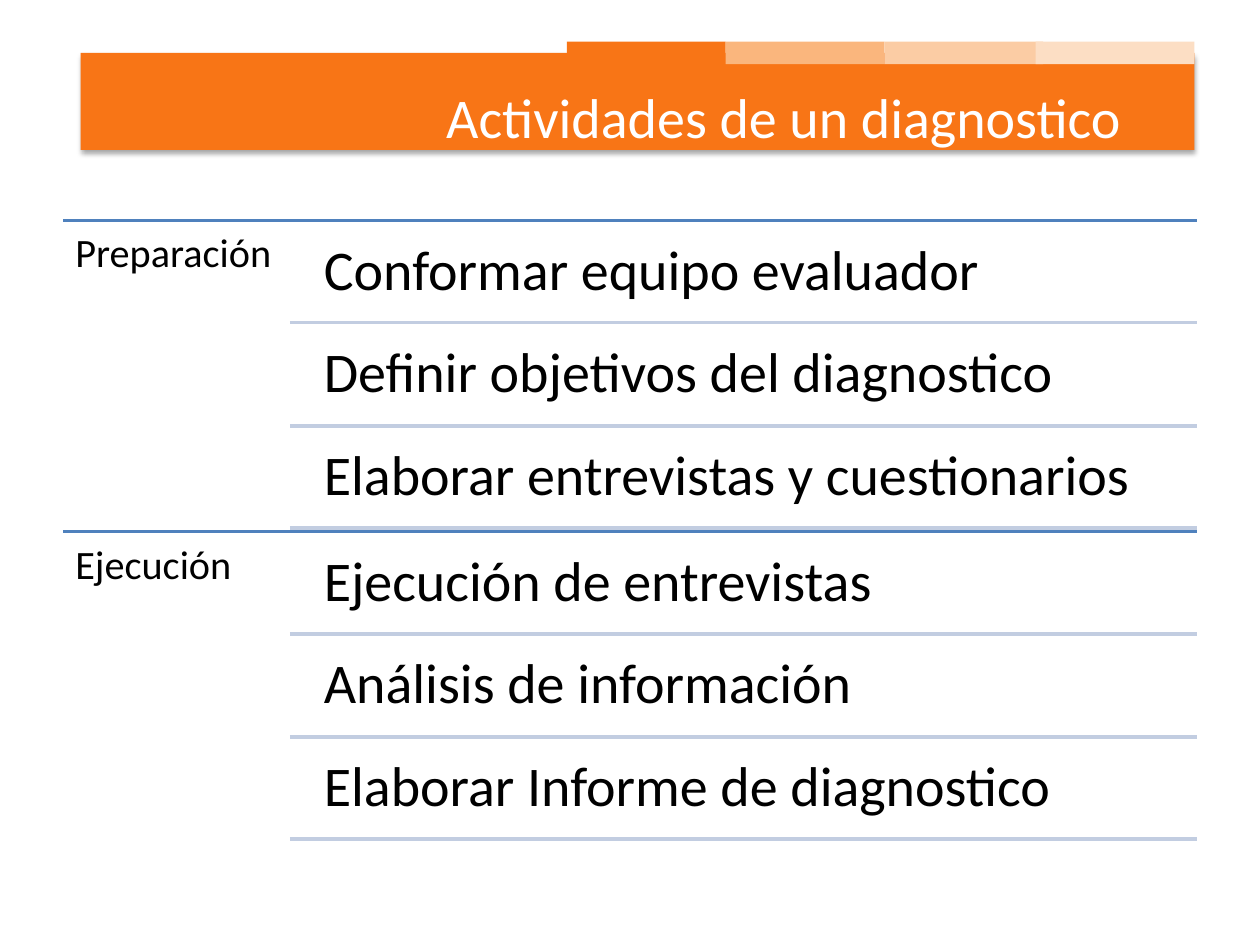
from lxml import etree
from pptx import Presentation
from pptx import util as u
from pptx.dml.color import RGBColor
from pptx.enum import shapes, text
from pptx.oxml import ns

PX = 9144  # EMU per px, 100 px to the inch
FONT = "Calibri"
ORANGE = RGBColor(0xF8, 0x75, 0x16)
TAB_COLORS = (ORANGE, RGBColor(0xFA, 0xB6, 0x7D),
              RGBColor(0xFB, 0xCC, 0xA4), RGBColor(0xFC, 0xDE, 0xC4))
BLUE = RGBColor(0x4F, 0x81, 0xBD)
PALE_BLUE = RGBColor(0xC2, 0xCD, 0xE1)
BLACK = RGBColor(0, 0, 0)
WHITE = RGBColor(0xFF, 0xFF, 0xFF)

SECTIONS = (
    ("Preparación", ("Conformar equipo evaluador",
                     "Definir objetivos del diagnostico",
                     "Elaborar entrevistas y cuestionarios")),
    ("Ejecución", ("Ejecución de entrevistas",
                   "Análisis de información",
                   "Elaborar Informe de diagnostico")),
)


def px(*lengths):
    return [u.Emu(length * PX) for length in lengths]


def add_block(page, left, top, width, height, color):
    block = page.shapes.add_shape(shapes.MSO_SHAPE.RECTANGLE,
                                  *px(left, top, width, height))
    block.shadow.inherit = False
    block.fill.solid()
    block.fill.fore_color.rgb = color
    block.line.fill.background()
    return block


def add_soft_shadow(block):
    effects = block._element.spPr.find(ns.qn("a:effectLst"))
    shadow = etree.SubElement(effects, ns.qn("a:outerShdw"),
                              blurRad=str(u.Pt(3.1)), dist=str(u.Pt(1.8)),
                              dir="5400000", rotWithShape="0")
    color = etree.SubElement(shadow, ns.qn("a:srgbClr"), val="000000")
    etree.SubElement(color, ns.qn("a:alpha"), val="35000")


def add_rule(page, left, right, y, color):
    """Draw a horizontal line."""
    rule = page.shapes.add_connector(shapes.MSO_CONNECTOR.STRAIGHT,
                                     *px(left, y, right, y))
    rule.line.color.rgb = color
    rule.line.width = u.Pt(2)
    etree.SubElement(rule._element.spPr, ns.qn("a:effectLst"))


def add_text(page, left, top, width, height, words, size, inset,
             color=BLACK, spacing=0.9):
    box = page.shapes.add_textbox(*px(left, top, width, height))
    frame = box.text_frame
    frame.word_wrap = True
    (frame.margin_left, frame.margin_top,
     frame.margin_right, frame.margin_bottom) = px(*[inset] * 4)
    para = frame.paragraphs[0]
    para.text = words
    para.line_spacing = spacing
    para.font.name = FONT
    para.font.size = u.Pt(size)
    para.font.color.rgb = color
    return box


def add_banner(page, left, top, width, height):
    add_soft_shadow(add_block(page, left, top, width, height, ORANGE))
    tab_width = 126
    right = left + width
    for index, color in enumerate(TAB_COLORS):
        tab_left = min(left + 386 + index * tab_width, right - tab_width)
        add_block(page, tab_left, top - 9, tab_width, 18, color)


def add_title(page, left, top, width, height):
    title = add_text(page, left, top, width, height,
                     "Actividades de un diagnostico", 32, 10, WHITE, 1.0)
    title.text_frame.vertical_anchor = text.MSO_ANCHOR.MIDDLE
    title.text_frame.paragraphs[0].alignment = text.PP_ALIGN.RIGHT


def add_section(page, left, top, width, height, heading, activities):
    """Place a heading on the left and its ruled activities on the right."""
    heading_width = width // 5
    right = left + width
    text_left = left + heading_width + 14
    step = (height - 3) / len(activities)
    add_rule(page, left, right, top, BLUE)
    add_text(page, left, top, heading_width, height, heading, 23, 10)
    for index, activity in enumerate(activities):
        row_top = top + round(index * step)
        row_bottom = top + round((index + 1) * step)
        add_text(page, text_left, row_top + 4, right - text_left, 77,
                 activity, 32, 13)
        add_rule(page, left + heading_width, right, row_bottom, PALE_BLUE)


def main():
    deck = Presentation()
    deck.slide_width, deck.slide_height = px(1000, 750)
    page = deck.slides.add_slide(deck.slide_layouts[6])
    add_banner(page, 64, 42, 884, 77)
    section_height = 247
    for index, (heading, activities) in enumerate(SECTIONS):
        add_section(page, 50, 175 + index * section_height, 900,
                    section_height, heading, activities)
    add_title(page, 0, 30, 900, 125)
    deck.save("out.pptx")


if __name__ == "__main__":
    main()
